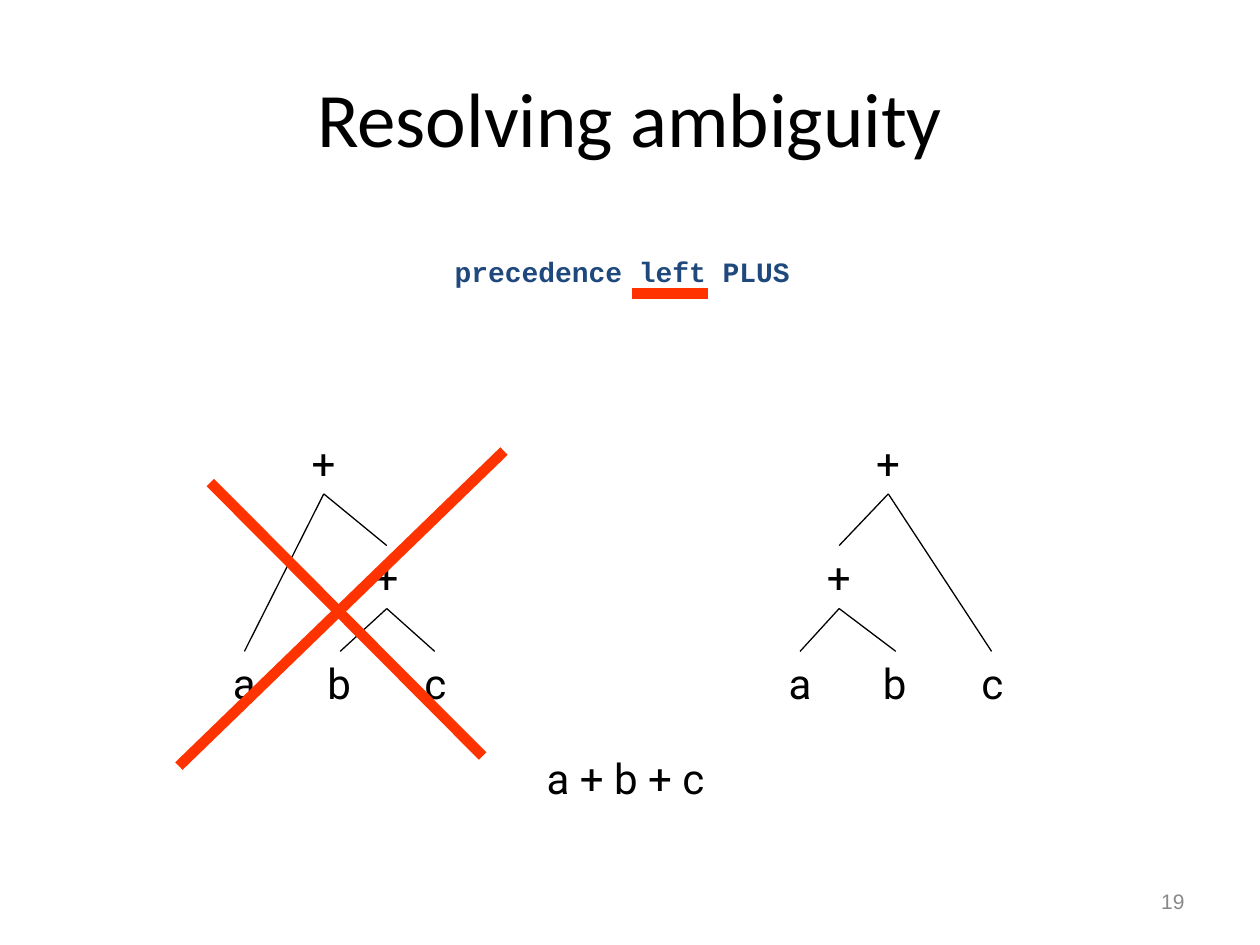
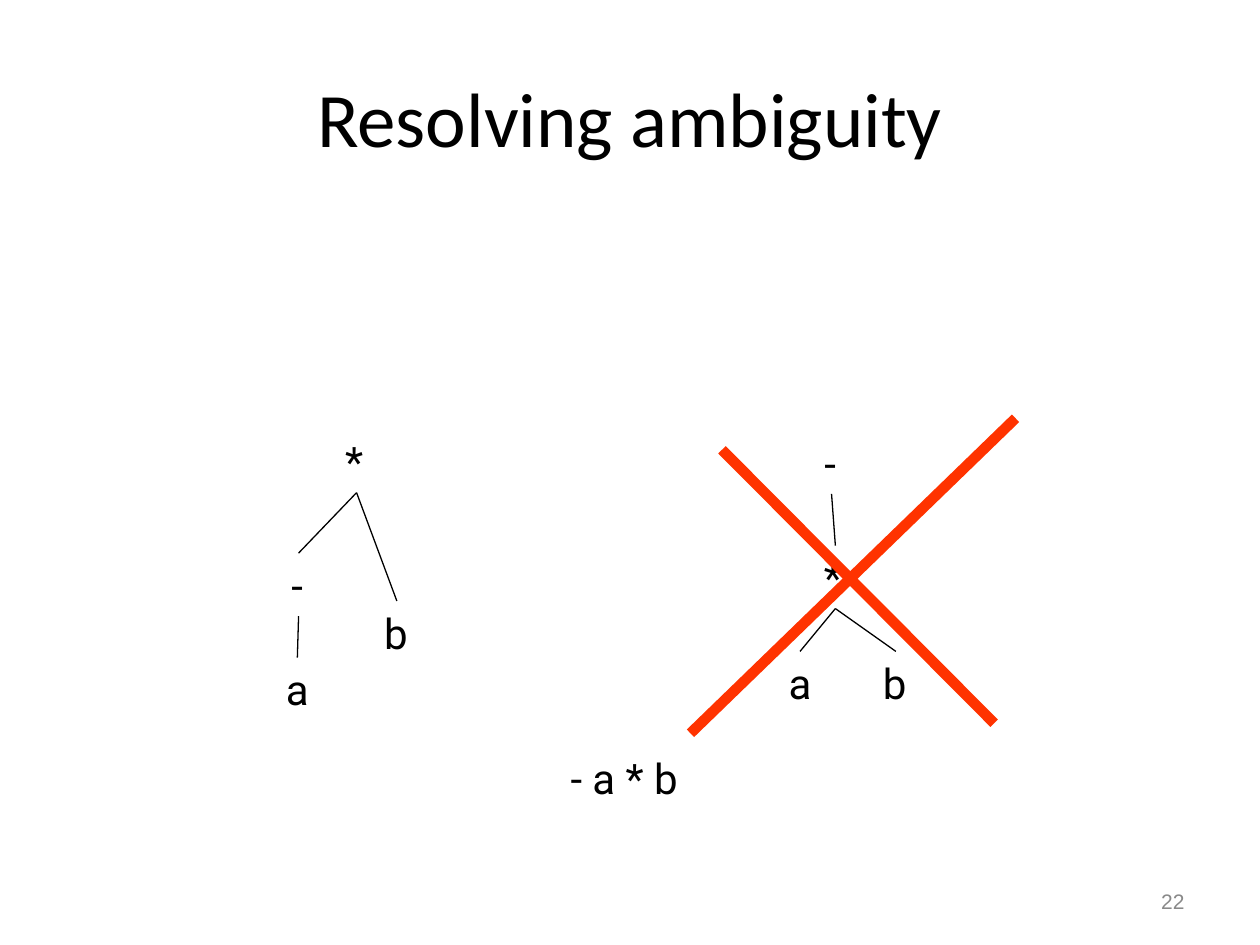
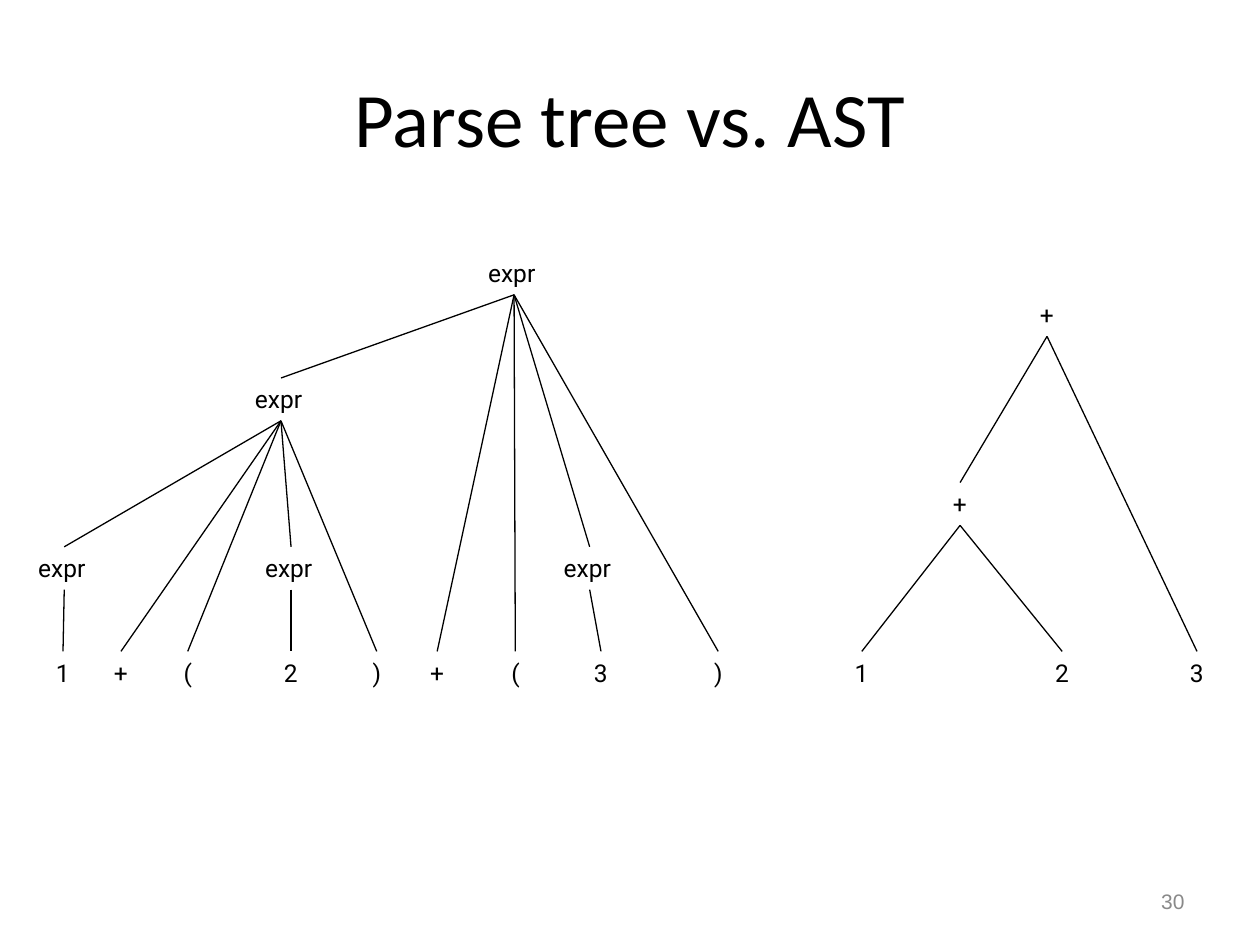
from lxml.etree import SubElement
from pptx import Presentation
from pptx.dml.color import RGBColor
from pptx.enum.shapes import MSO_CONNECTOR
from pptx.enum.text import MSO_ANCHOR, MSO_AUTO_SIZE, PP_ALIGN
from pptx.oxml.ns import qn
from pptx.util import Inches, Pt

COLORS = {"ink": "000000", "page": "898989", "code": "1F497D", "mark": "FF3300"}

# A node is (label, centre x, top, children); every tree is one nested node.
LEAF = 5.17
SLIDES = [
    {
        "title": "Resolving ambiguity", "page": "19", "size": 24,
        "trees": [
            ("+", 2.57, 3.42, [
                ("a", 1.94, LEAF, []),
                ("+", 3.07, 4.33, [("b", 2.7, LEAF, []), ("c", 3.45, LEAF, [])]),
            ]),
            ("+", 7.05, 3.42, [
                ("+", 6.66, 4.33, [("a", 6.35, LEAF, []), ("b", 7.11, LEAF, [])]),
                ("c", 7.87, LEAF, []),
            ]),
        ],
        "input": ("a + b + c", 4.24, 1.48),
        "cross": (1.42, 3.58),
        "rule": "precedence left PLUS",
    },
    {
        "title": "Resolving ambiguity", "page": "22", "size": 24,
        "trees": [
            ("*", 2.83, 3.41, [
                ("-", 2.37, 4.39, [("a", 2.36, 5.22, [])]),
                ("b", 3.15, 4.77, []),
            ]),
            ("-", 6.6, 3.42, [
                ("*", 6.63, 4.33, [("a", 6.35, LEAF, []), ("b", 7.11, LEAF, [])]),
            ]),
        ],
        "input": ("- a * b", 4.43, 1.14),
        "cross": (5.48, 3.32),
    },
    {
        "title": "Parse tree vs. AST", "page": "30", "size": 14,
        "trees": [
            ("expr", 4.08, 2, [
                ("expr", 2.23, 3, [
                    ("expr", 0.51, 4.34, [("1", 0.5, LEAF, [])]),
                    ("+", 0.96, LEAF, []),
                    ("(", 1.49, LEAF, []),
                    ("expr", 2.31, 4.34, [("2", 2.31, LEAF, [])]),
                    (")", 2.99, LEAF, []),
                ]),
                ("+", 3.47, LEAF, []),
                ("(", 4.09, LEAF, []),
                ("expr", 4.68, 4.34, [("3", 4.77, LEAF, [])]),
                (")", 5.7, LEAF, []),
            ]),
            ("+", 8.31, 2.33, [
                ("+", 7.62, 3.83, [("1", 6.84, LEAF, []), ("2", 8.43, LEAF, [])]),
                ("3", 9.5, LEAF, []),
            ]),
        ],
    },
]

# Label boxes by text size: height, usual width, other widths
BOXES = {
    24: (0.5, 0.38, {"b": 0.4, "c": 0.36, "+": 0.39, "-": 0.31}),
    14: (0.34, 0.31, {"expr": 0.61, "(": 0.26, ")": 0.26}),
}


def put_text(slide, text, left, top, width, height, size=24, font="Roboto",
             color="ink", bold=False, align=PP_ALIGN.LEFT, fit=True):
    """Add a text box; fit sizes it to one line, otherwise it wraps mid-height."""
    box = slide.shapes.add_textbox(*map(Inches, (left, top, width, height)))
    frame = box.text_frame
    frame.word_wrap = not fit
    if fit:
        frame.auto_size = MSO_AUTO_SIZE.SHAPE_TO_FIT_TEXT
    else:
        frame.vertical_anchor = MSO_ANCHOR.MIDDLE
    para = frame.paragraphs[0]
    para.alignment = align
    run = para.add_run()
    run.text = text
    run.font.size = Pt(size)
    run.font.name = font
    run.font.bold = bold
    run.font.color.rgb = RGBColor.from_string(COLORS[color])
    return box


def put_line(slide, x1, y1, x2, y2, color="ink", width=0.75):
    line = slide.shapes.add_connector(
        MSO_CONNECTOR.STRAIGHT, *map(Inches, (x1, y1, x2, y2)))
    line.line.color.rgb = RGBColor.from_string(COLORS[color])
    line.line.width = Pt(width)
    SubElement(line._element.spPr, qn("a:effectLst"))
    return line


def put_tree(slide, node, size):
    """Draw a node and all below it; return the box of the node."""
    label, mid, top, kids = node
    height, usual, widths = BOXES[size]
    width = widths.get(label, usual)
    box = put_text(slide, label, mid - width / 2, top, width, height, size=size)
    for kid in kids:
        child = put_tree(slide, kid, size)
        edge = put_line(slide, mid, top + height, kid[1], kid[2])
        edge.begin_connect(box, 2)
        edge.end_connect(child, 0)
    return box


def put_cross(slide, left, top):
    """Strike out a tree with two thick strokes."""
    for x1, y1, x2, y2 in [(2.58, 0, 0, 2.5), (0.25, 0.25, 2.41, 2.42)]:
        put_line(slide, left + x1, top + y1, left + x2, top + y2,
                 color="mark", width=6)


def put_slide(deck, data):
    slide = deck.slides.add_slide(deck.slide_layouts[6])
    put_text(slide, data["title"], 0.5, 0.3, 9, 1.25, size=44, font="Calibri",
             align=PP_ALIGN.CENTER, fit=False)
    put_text(slide, data["page"], 7.17, 6.95, 2.33, 0.4, size=12, font="Arial",
             color="page", align=PP_ALIGN.RIGHT, fit=False)
    if "input" in data:
        text, left, width = data["input"]
        put_text(slide, text, left, 5.92, width, 0.5)
    for tree in data["trees"]:
        put_tree(slide, tree, data["size"])
    if "cross" in data:
        put_cross(slide, *data["cross"])
    if "rule" in data:
        put_text(slide, data["rule"], 3.51, 1.97, 2.86, 0.37, size=16,
                 font="Courier New", color="code", bold=True)
        put_line(slide, 5.02, 2.33, 5.62, 2.33, color="mark", width=6)


def main():
    deck = Presentation()
    deck.slide_width = Inches(10)
    deck.slide_height = Inches(7.5)
    for data in SLIDES:
        put_slide(deck, data)
    deck.save("out.pptx")


if __name__ == "__main__":
    main()
